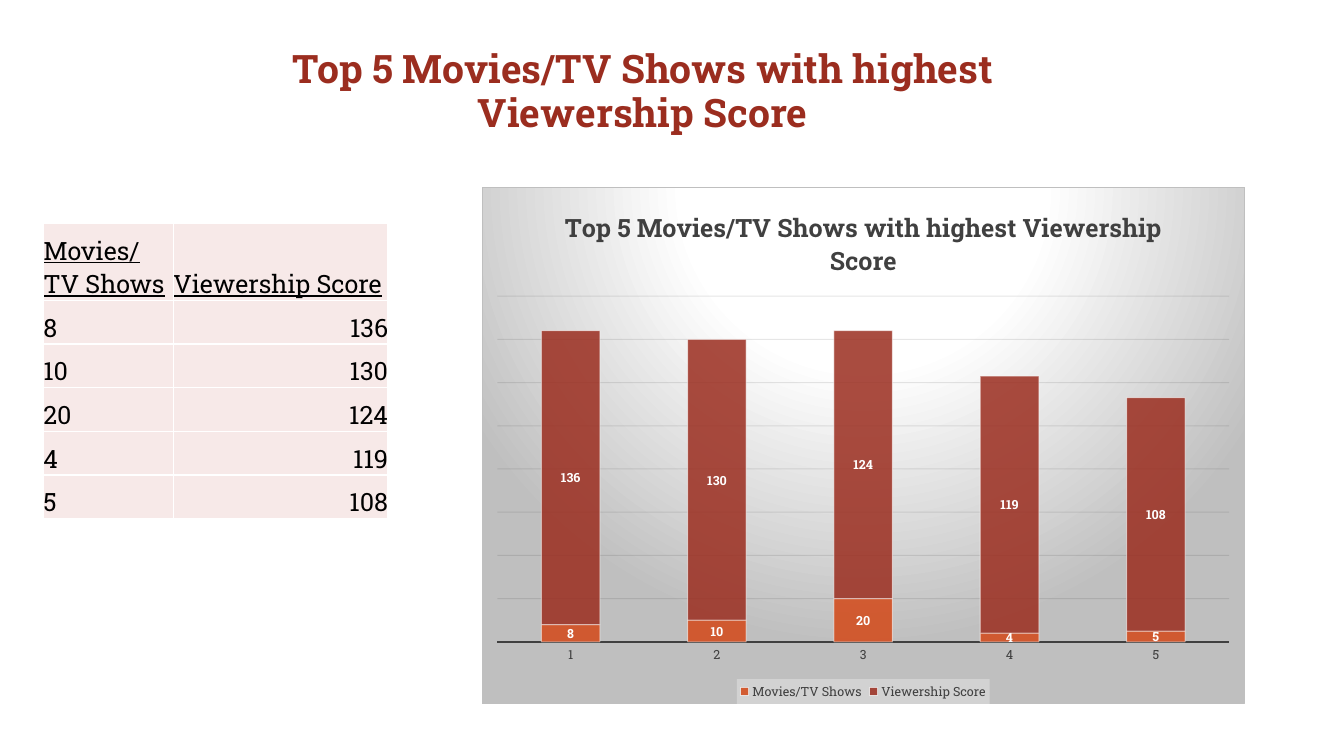
import dataclasses

import pptx
import pptx.chart.data
import pptx.dml.color
import pptx.enum.chart
import pptx.enum.text
import pptx.oxml
import pptx.oxml.ns
import pptx.util

Cm = pptx.util.Cm
Pt = pptx.util.Pt


@dataclasses.dataclass(frozen=True)
class Theme:
    font: str = "Roboto Slab"
    heading: str = "9B2D1F"
    shows: str = "D34817"
    ink: str = "000000"
    chart_ink: str = "404040"
    grid: str = "0D0D0D"
    paper: str = "FFFFFF"
    panel_edge: str = "BFBFBF"
    legend_panel: str = "F2F2F2"
    cell: str = "F7E9E8"
    heading_size: int = 28
    body_size: int = 18
    chart_size: int = 9


THEME = Theme()
HEADING = "Top 5 Movies/TV Shows with highest Viewership Score"
COLUMNS = ("Movies/TV Shows", "Viewership Score")
SCORES = ((8, 136), (10, 130), (20, 124), (4, 119), (5, 108))
COLUMN_WIDTHS = (3.28, 5.41)
HEADER_HEIGHT = 1.93
ROW_HEIGHT = 1.1


def rgb(code):
    return pptx.dml.color.RGBColor.from_string(code)


def apply(target, values):
    for name, value in values.items():
        setattr(target, name, value)


def style_font(font, size, color, **values):
    apply(font, {"name": THEME.font, "size": Pt(size), **values})
    font.color.rgb = rgb(color)


def style_line(line, color, width):
    line.color.rgb = rgb(color)
    line.width = Pt(width)


def xml(tag, content, attributes=""):
    namespaces = pptx.oxml.ns.nsdecls("a", "c")
    return pptx.oxml.parse_xml(f"<{tag} {namespaces} {attributes}>{content}</{tag}>")


def solid(color, alpha=100):
    return (f'<a:solidFill><a:srgbClr val="{color}"><a:alpha val="{alpha * 1000}"/>'
            "</a:srgbClr></a:solidFill>")


def set_alpha(root, query, percent):
    for color in root.xpath(f"{query}/a:solidFill/a:srgbClr"):
        color.append(xml("a:alpha", "", f'val="{percent * 1000}"'))


def add_heading(slide):
    heading = slide.shapes.title
    apply(heading, {"left": Cm(6.58), "top": Cm(1.09),
                    "width": Cm(19.23), "height": Cm(3.43)})
    frame = heading.text_frame
    frame.text = HEADING
    apply(frame, {"word_wrap": True,
                  "auto_size": pptx.enum.text.MSO_AUTO_SIZE.SHAPE_TO_FIT_TEXT,
                  "vertical_anchor": pptx.enum.text.MSO_ANCHOR.TOP})
    line = frame.paragraphs[0]
    apply(line, {"alignment": pptx.enum.text.PP_ALIGN.CENTER, "line_spacing": 0.93})
    style_font(line.runs[0].font, THEME.heading_size, THEME.heading, bold=True)


def fill_cell(cell, text, underline, alignment):
    cell.text = str(text)
    apply(cell, {"margin_left": 0, "margin_right": 0, "margin_top": 0,
                 "margin_bottom": 0,
                 "vertical_anchor": pptx.enum.text.MSO_ANCHOR.BOTTOM})
    cell.fill.solid()
    cell.fill.fore_color.rgb = rgb(THEME.cell)
    paragraph = cell.text_frame.paragraphs[0]
    paragraph.alignment = alignment
    style_font(paragraph.runs[0].font, THEME.body_size, THEME.ink,
               underline=underline, bold=False)
    properties = cell._tc.get_or_add_tcPr()
    for index, side in enumerate("LRTB"):
        properties.insert(index, xml(f"a:ln{side}", solid(THEME.paper), 'w="12700"'))


def add_score_table(slide):
    rows = (COLUMNS,) + SCORES
    heights = [HEADER_HEIGHT] + [ROW_HEIGHT] * len(SCORES)
    table = slide.shapes.add_table(
        len(rows), len(COLUMNS), Cm(1.09), Cm(5.64),
        Cm(sum(COLUMN_WIDTHS)), Cm(sum(heights))).table
    table.horz_banding = False
    for column, width in zip(table.columns, COLUMN_WIDTHS):
        column.width = Cm(width)
    align = pptx.enum.text.PP_ALIGN
    for row_index, (row, height) in enumerate(zip(rows, heights)):
        table.rows[row_index].height = Cm(height)
        for column_index, text in enumerate(row):
            is_number = row_index > 0 and column_index == 1
            fill_cell(table.cell(row_index, column_index), text, row_index == 0,
                      align.RIGHT if is_number else align.LEFT)


def style_series(plot):
    for series, color in zip(plot.series, (THEME.shows, THEME.heading)):
        series.format.fill.solid()
        series.format.fill.fore_color.rgb = rgb(color)
        style_line(series.format.line, THEME.paper, 0.75)
        labels = series.data_labels
        apply(labels, {"show_value": True,
                       "position": pptx.enum.chart.XL_LABEL_POSITION.CENTER})
        style_font(labels.font, THEME.chart_size, THEME.paper, bold=True)


def style_axes(chart):
    tick = pptx.enum.chart.XL_TICK_MARK.NONE
    categories = chart.category_axis
    apply(categories, {"major_tick_mark": tick, "minor_tick_mark": tick})
    style_font(categories.tick_labels.font, THEME.chart_size, THEME.chart_ink)
    style_line(categories.format.line, THEME.chart_ink, 1.5)
    values = chart.value_axis
    apply(values, {"visible": False, "minimum_scale": 0, "maximum_scale": 160,
                   "major_unit": 20, "has_major_gridlines": True})
    style_line(values.major_gridlines.format.line, THEME.grid, 0.75)


def style_panels(chart):
    root = chart.element
    set_alpha(root, ".//c:ser/c:spPr", 85)
    set_alpha(root, ".//c:ser/c:spPr/a:ln", 50)
    set_alpha(root, ".//c:majorGridlines/c:spPr/a:ln", 10)
    stops = "".join(
        f'<a:gs pos="{position * 1000}"><a:srgbClr val="{color}"/></a:gs>'
        for position, color in ((0, THEME.paper), (39, THEME.paper),
                                (100, THEME.panel_edge)))
    backdrop = (f'<a:gradFill><a:gsLst>{stops}</a:gsLst><a:path path="circle">'
                '<a:fillToRect l="50000" t="-80000" r="50000" b="180000"/>'
                f'</a:path></a:gradFill><a:ln w="9525">{solid(THEME.panel_edge)}</a:ln>')
    root.xpath("c:chart")[0].addnext(xml("c:spPr", backdrop))
    root.xpath(".//c:legend/c:overlay")[0].addnext(
        xml("c:spPr", solid(THEME.legend_panel, 39)))
    bounds = {"x": 0.02, "y": 0.21, "w": 0.96, "h": 0.67}
    layout = ('<c:layoutTarget val="inner"/><c:xMode val="edge"/><c:yMode val="edge"/>'
              + "".join(f'<c:{name} val="{value}"/>' for name, value in bounds.items()))
    plot_area = root.xpath(".//c:plotArea")[0]
    for automatic in plot_area.xpath("c:layout"):
        plot_area.remove(automatic)
    plot_area.insert(0, xml("c:layout", f"<c:manualLayout>{layout}</c:manualLayout>"))


def add_score_chart(slide):
    data = pptx.chart.data.CategoryChartData()
    data.categories = [str(rank) for rank in range(1, len(SCORES) + 1)]
    for name, values in zip(COLUMNS, zip(*SCORES)):
        data.add_series(name, values)
    chart = slide.shapes.add_chart(
        pptx.enum.chart.XL_CHART_TYPE.COLUMN_STACKED,
        Cm(12.14), Cm(4.72), Cm(19.23), Cm(13.03), data).chart
    style_font(chart.font, 10, THEME.ink)
    apply(chart, {"has_title": True, "has_legend": True})
    caption = chart.chart_title.text_frame
    caption.text = HEADING
    style_font(caption.paragraphs[0].runs[0].font, THEME.body_size,
               THEME.chart_ink, bold=True)
    apply(chart.legend, {"position": pptx.enum.chart.XL_LEGEND_POSITION.BOTTOM,
                         "include_in_layout": False})
    style_font(chart.legend.font, THEME.chart_size, THEME.chart_ink)
    apply(chart.plots[0], {"gap_width": 150, "overlap": 100,
                           "vary_by_categories": False})
    style_series(chart.plots[0])
    style_axes(chart)
    style_panels(chart)


def main():
    deck = pptx.Presentation()
    apply(deck, {"slide_width": Cm(33.87), "slide_height": Cm(19.05)})
    slide = deck.slides.add_slide(deck.slide_layouts[5])
    add_score_chart(slide)
    add_score_table(slide)
    add_heading(slide)
    deck.save("out.pptx")


if __name__ == "__main__":
    main()
